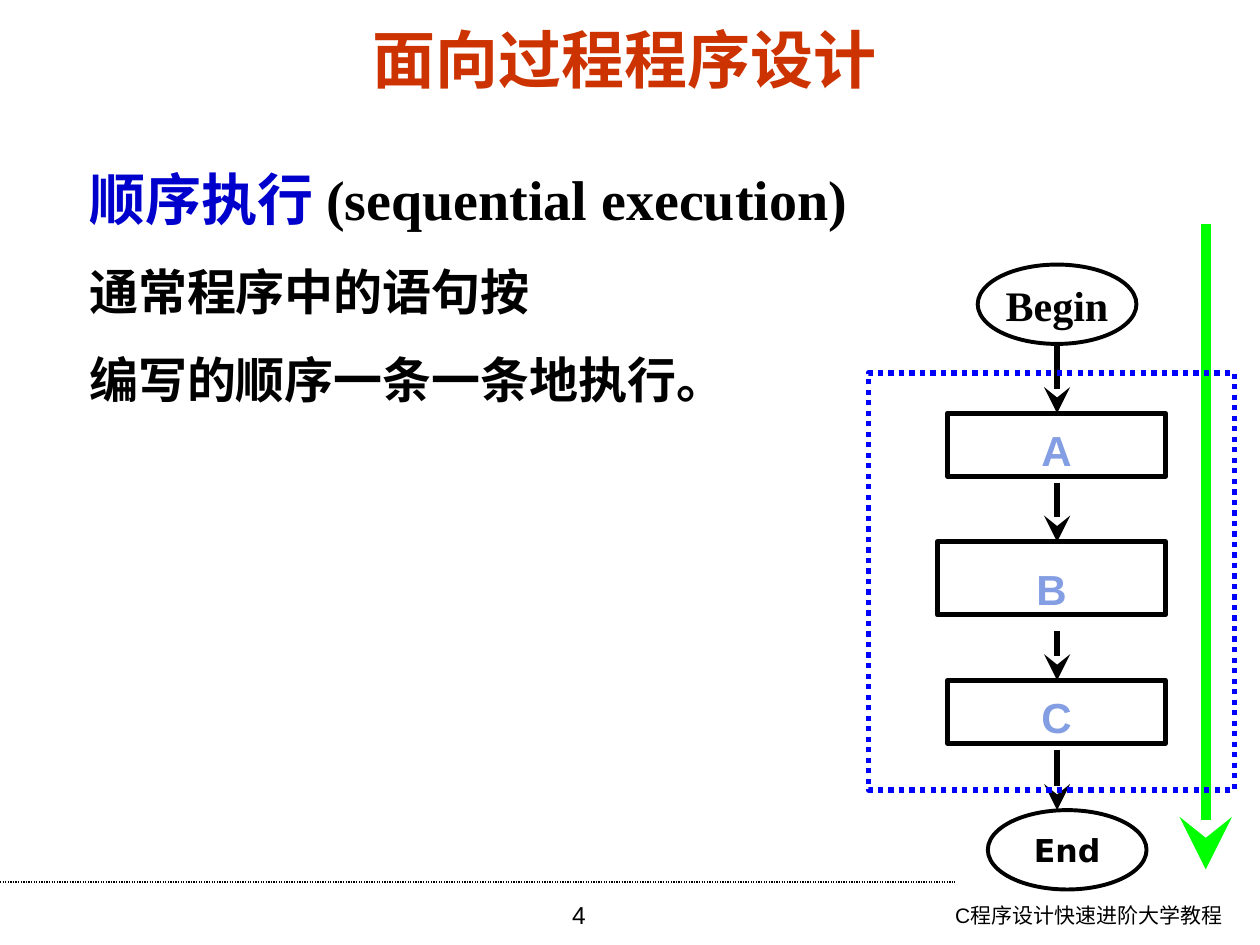
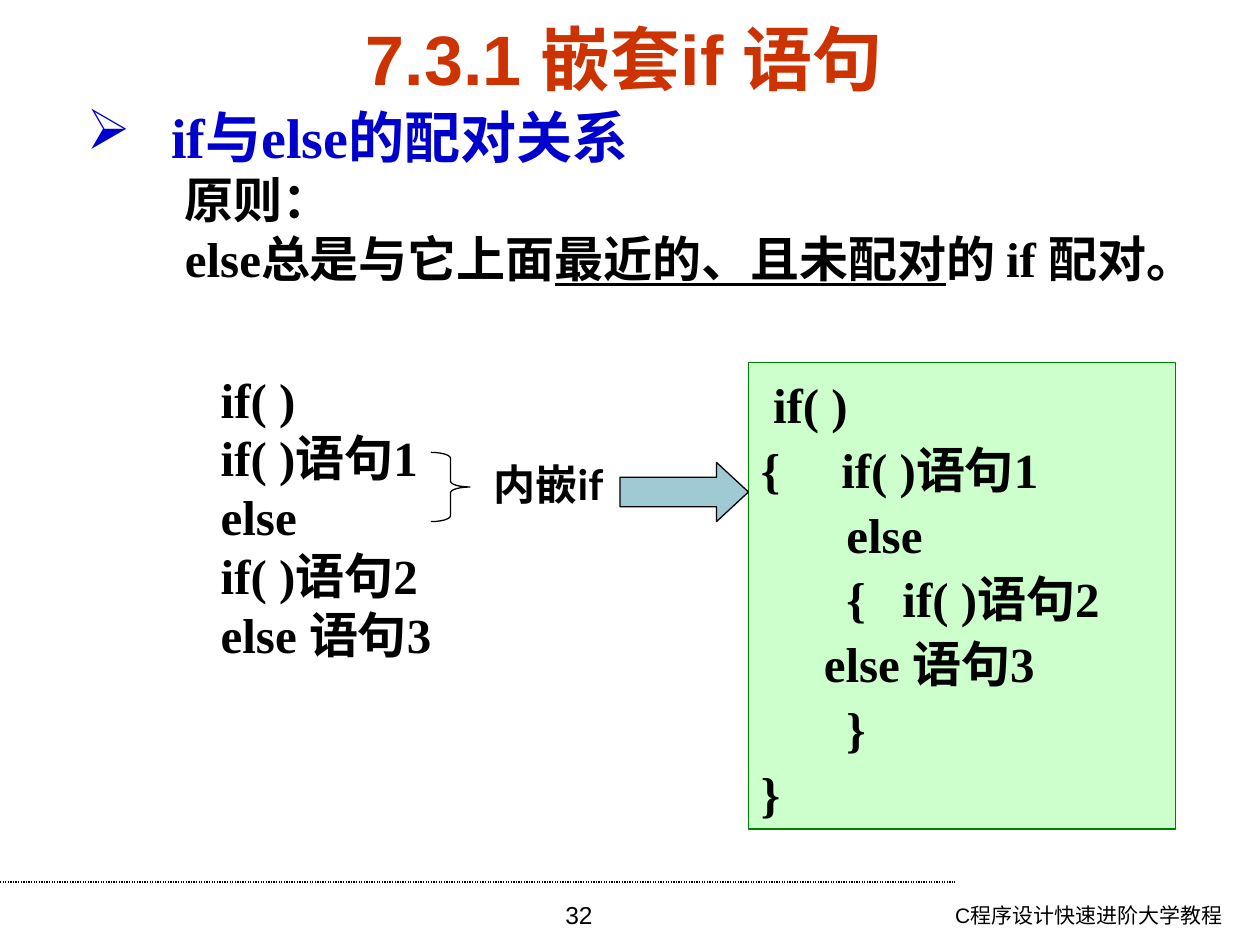
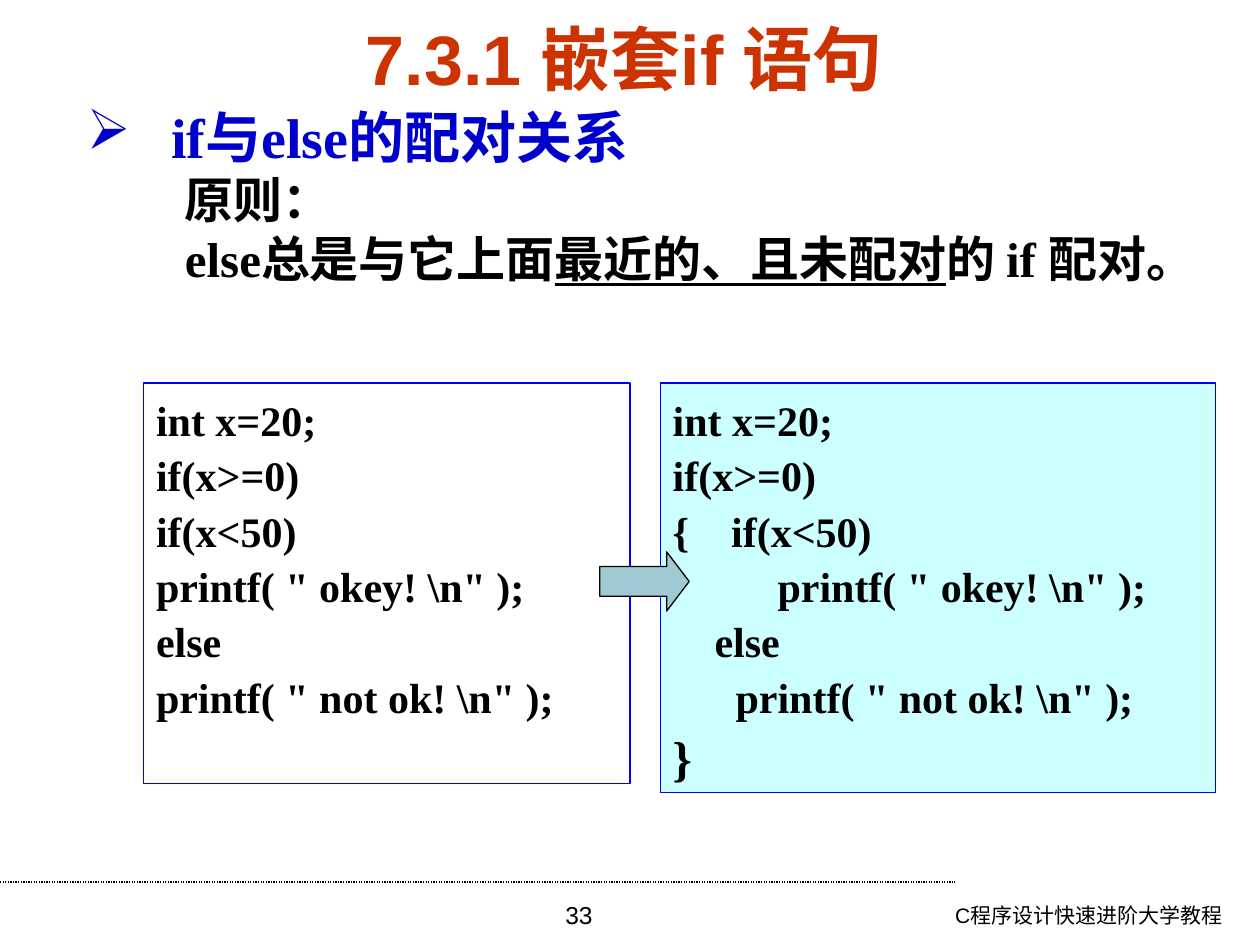
from dataclasses import dataclass

from lxml import etree
from pptx import Presentation
from pptx.dml.color import RGBColor
from pptx.enum.dml import MSO_LINE
from pptx.enum.shapes import MSO_CONNECTOR, MSO_SHAPE
from pptx.enum.text import MSO_ANCHOR, PP_ALIGN
from pptx.oxml.ns import qn
from pptx.util import Inches, Pt

RECTANGLE = MSO_SHAPE.RECTANGLE
ELLIPSE = MSO_SHAPE.OVAL
ARROW = MSO_SHAPE.RIGHT_ARROW
BRACE = MSO_SHAPE.RIGHT_BRACE
STRAIGHT = MSO_CONNECTOR.STRAIGHT
DOTTED = MSO_LINE.ROUND_DOT
LEFT, CENTER, RIGHT = PP_ALIGN.LEFT, PP_ALIGN.CENTER, PP_ALIGN.RIGHT
TOP, MIDDLE = MSO_ANCHOR.TOP, MSO_ANCHOR.MIDDLE


@dataclass(frozen=True)
class Theme:
    title: str = "CC3300"
    accent: str = "0000CC"
    ink: str = "000000"
    step: str = "839EE3"
    flow: str = "00FF00"
    frame: str = "0000FF"
    arrow: str = "9FCAD3"
    white: str = "FFFFFF"
    mint: str = "CCFFCC"
    mint_edge: str = "008000"
    aqua: str = "CCFFFF"
    sans: str = "Arial"
    serif: str = "Times New Roman"
    label: str = "Lato"
    terminal: str = "DejaVu Sans"
    heading_size: int = 32
    body_size: int = 28
    code_size: int = 24
    terminal_size: int = 18
    number_size: int = 14
    footer_size: int = 12


THEME = Theme()
HEADING = {"size": THEME.heading_size, "name": THEME.serif, "color": THEME.accent, "bold": True}
BODY = {"size": THEME.body_size, "name": THEME.serif, "color": THEME.ink, "bold": True}
CODE = BODY | {"size": THEME.code_size}
STEP = CODE | {"name": THEME.sans, "color": THEME.step}
FOOTER = {"size": THEME.footer_size, "name": THEME.sans, "color": THEME.ink, "bold": False}
TITLE = {"name": THEME.sans, "color": THEME.title, "bold": True}

FOOTER_TEXT = "C程序设计快速进阶大学教程"
NESTED_TITLE = "7.3.1 嵌套if 语句"

SEQUENCE_TEXT = [
    [("顺序执行 ", HEADING), ("(sequential execution)", HEADING | {"color": THEME.ink})],
    [("通常程序中的语句按", BODY | {"name": THEME.sans})],
    [("编写的顺序一条一条地执行。", BODY | {"name": THEME.sans})],
]
STEPS = [
    ("A", (7.52, 3.28, 1.73, 0.5), 1.0),
    ("B", (7.44, 4.3, 1.81, 0.58), 1.2),
    ("C", (7.52, 5.4, 1.73, 0.5), 1.0),
]
TERMINALS = [
    ("Begin", (7.76, 2.1, 1.26, 0.63), None, CODE),
    ("End", (7.84, 6.43, 1.26, 0.63), THEME.white,
     CODE | {"name": THEME.terminal, "size": THEME.terminal_size}),
]
STEP_ARROWS = [(2.73, 3.28), (3.83, 4.3), (5.01, 5.4), (5.95, 6.43)]

PAIRING_HEADING = "if与else的配对关系"
PAIRING_RULE = [
    [("原则：", BODY)],
    [("else总是与它上面", BODY), ("最近的、且未配对", BODY | {"underline": True}),
     ("的 if 配对。", BODY)],
]
LOOSE_CODE = ["  if( )", "  if( )语句1", "  else", "  if( )语句2", "  else 语句3"]
BRACED_CODE = [
    " if( )",
    "{     if( )语句1",
    "       else",
    "       {   if( )语句2",
    "\telse 语句3",
    "       }",
    "}",
]
PLAIN_EXAMPLE = [
    "int x=20;",
    "if(x>=0)",
    "if(x<50)",
    'printf( " okey! \\n" );',
    "else",
    'printf( " not ok! \\n" );',
]
BRACED_EXAMPLE = [
    "int x=20;",
    "if(x>=0)",
    "{    if(x<50)",
    '          printf( " okey! \\n" );',
    "    else",
    '      printf( " not ok! \\n" );',
]


def code_lines(lines, look):
    return [[(line, look)] for line in lines]


def write(shape, paragraphs, align=LEFT, anchor=TOP, spacing=None, wrap=True, top=0.05):
    frame = shape.text_frame
    settings = {
        "word_wrap": wrap, "vertical_anchor": anchor,
        "margin_left": Inches(0.1), "margin_right": Inches(0.1),
        "margin_top": Inches(top), "margin_bottom": Inches(0.05),
    }
    for name, value in settings.items():
        setattr(frame, name, value)
    for index, spans in enumerate(paragraphs):
        para = frame.add_paragraph() if index else frame.paragraphs[0]
        para.alignment = align
        if spacing:
            para.line_spacing = spacing
        for text, look in spans:
            span = para.add_run()
            span.text = text
            for name, value in look.items():
                if name == "color":
                    span.font.color.rgb = RGBColor.from_string(value)
                else:
                    setattr(span.font, name, Pt(value) if name == "size" else value)
    return frame


def add_text(page, place, paragraphs, **options):
    box = page.shapes.add_textbox(*map(Inches, place))
    return write(box, paragraphs, **options)


def add_figure(page, kind, place, fill=None, color=THEME.ink, width=0.75, adjust=()):
    shape = page.shapes.add_shape(kind, *map(Inches, place))
    shape.shadow.inherit = False
    if fill:
        shape.fill.solid()
        shape.fill.fore_color.rgb = RGBColor.from_string(fill)
    else:
        shape.fill.background()
    shape.line.color.rgb = RGBColor.from_string(color)
    shape.line.width = Pt(width)
    for index, value in enumerate(adjust):
        shape.adjustments[index] = value
    return shape


def add_line(page, start, end, color=THEME.ink, width=0.75, dash=None, arrow=False):
    line = page.shapes.add_connector(STRAIGHT, *map(Inches, start + end))
    line.line.color.rgb = RGBColor.from_string(color)
    line.line.width = Pt(width)
    if dash:
        line.line.dash_style = dash
    properties = line.element.spPr
    if arrow:
        etree.SubElement(properties.find(qn("a:ln")), qn("a:tailEnd"),
                         type="stealth", w="lg", len="lg")
    etree.SubElement(properties, qn("a:effectLst"))


def set_indent(para, margin, first):
    properties = para._p.get_or_add_pPr()
    properties.set("marL", str(Inches(margin)))
    properties.set("indent", str(Inches(first)))
    return properties


def add_page(deck, title, title_size, number):
    page = deck.slides.add_slide(deck.slide_layouts[6])
    add_line(page, (0, 7), (7.58, 7), dash=DOTTED)
    add_text(page, (6.57, 7.11, 3.23, 0.39), [[(FOOTER_TEXT, FOOTER)]], align=RIGHT)
    add_text(page, (3.43, 7.09, 2.33, 0.41),
             [[(str(number), FOOTER | {"size": THEME.number_size})]], align=CENTER)
    add_text(page, (0.43, 0.21, 9.05, 0.5), [[(title, TITLE | {"size": title_size})]],
             align=CENTER, anchor=MIDDLE)
    return page


def add_pairing_page(deck, number):
    page = add_page(deck, NESTED_TITLE, 40, number)
    frame = add_text(page, (0.59, 0.87, 8.9, 2),
                     [[(PAIRING_HEADING, HEADING)]] + PAIRING_RULE)
    heading, *rules = frame.paragraphs
    heading.line_spacing = 0.8
    bullet = set_indent(heading, 0.67, -0.67)
    etree.SubElement(bullet, qn("a:buChar"), char="➢")
    for para in rules:
        set_indent(para, 0.67, 0.11)
    return page


def build_sequence(deck):
    page = add_page(deck, "面向过程程序设计", 36, 4)
    add_text(page, (0.61, 0.99, 7.43, 2.3), SEQUENCE_TEXT, anchor=MIDDLE, spacing=1.5)
    add_line(page, (9.57, 1.78), (9.57, 6.9), THEME.flow, 6, arrow=True)
    for start, end in STEP_ARROWS:
        add_line(page, (8.39, start), (8.39, end), width=3, arrow=True)
    for name, place, spacing in STEPS:
        step = add_figure(page, RECTANGLE, place, width=3)
        write(step, [[(name, STEP)]], align=CENTER, spacing=spacing, top=0.09)
    region = add_figure(page, RECTANGLE, (6.89, 2.96, 2.91, 3.31), color=THEME.frame, width=3)
    region.line.dash_style = DOTTED
    for name, place, fill, look in TERMINALS:
        terminal = add_figure(page, ELLIPSE, place, fill, width=2.25)
        write(terminal, [[(name, look)]], align=CENTER, anchor=MIDDLE, wrap=False)


def build_pairing(deck):
    page = add_pairing_page(deck, 32)
    add_text(page, (1.46, 2.88, 3.86, 2.44), code_lines(LOOSE_CODE, BODY))
    add_figure(page, BRACE, (3.42, 3.59, 0.31, 0.55), adjust=(0.15, 0.5))
    add_text(page, (3.82, 3.59, 1.1, 0.9), [[("内嵌if", CODE | {"name": THEME.label})]])
    panel = add_figure(page, RECTANGLE, (5.94, 2.88, 3.39, 3.7), THEME.mint, THEME.mint_edge)
    write(panel, code_lines(BRACED_CODE, BODY), spacing=1.1)
    add_figure(page, ARROW, (4.92, 3.67, 1.02, 0.47), THEME.arrow, adjust=(0.5, 0.54))


def build_example(deck):
    page = add_pairing_page(deck, 33)
    braced = code_lines(BRACED_EXAMPLE, CODE) + code_lines(["}"], BODY)
    panels = [
        ((1.14, 3.04, 3.86, 3.18), None, code_lines(PLAIN_EXAMPLE, CODE)),
        ((5.24, 3.04, 4.41, 3.25), THEME.aqua, braced),
    ]
    for place, fill, lines in panels:
        panel = add_figure(page, RECTANGLE, place, fill, THEME.frame)
        write(panel, lines, spacing=1.1)
    add_figure(page, ARROW, (4.76, 4.38, 0.71, 0.47), THEME.arrow, adjust=(0.5, 0.38))


def main():
    deck = Presentation()
    deck.slide_width, deck.slide_height = Inches(10), Inches(7.5)
    for build in (build_sequence, build_pairing, build_example):
        build(deck)
    deck.save("out.pptx")


if __name__ == "__main__":
    main()
